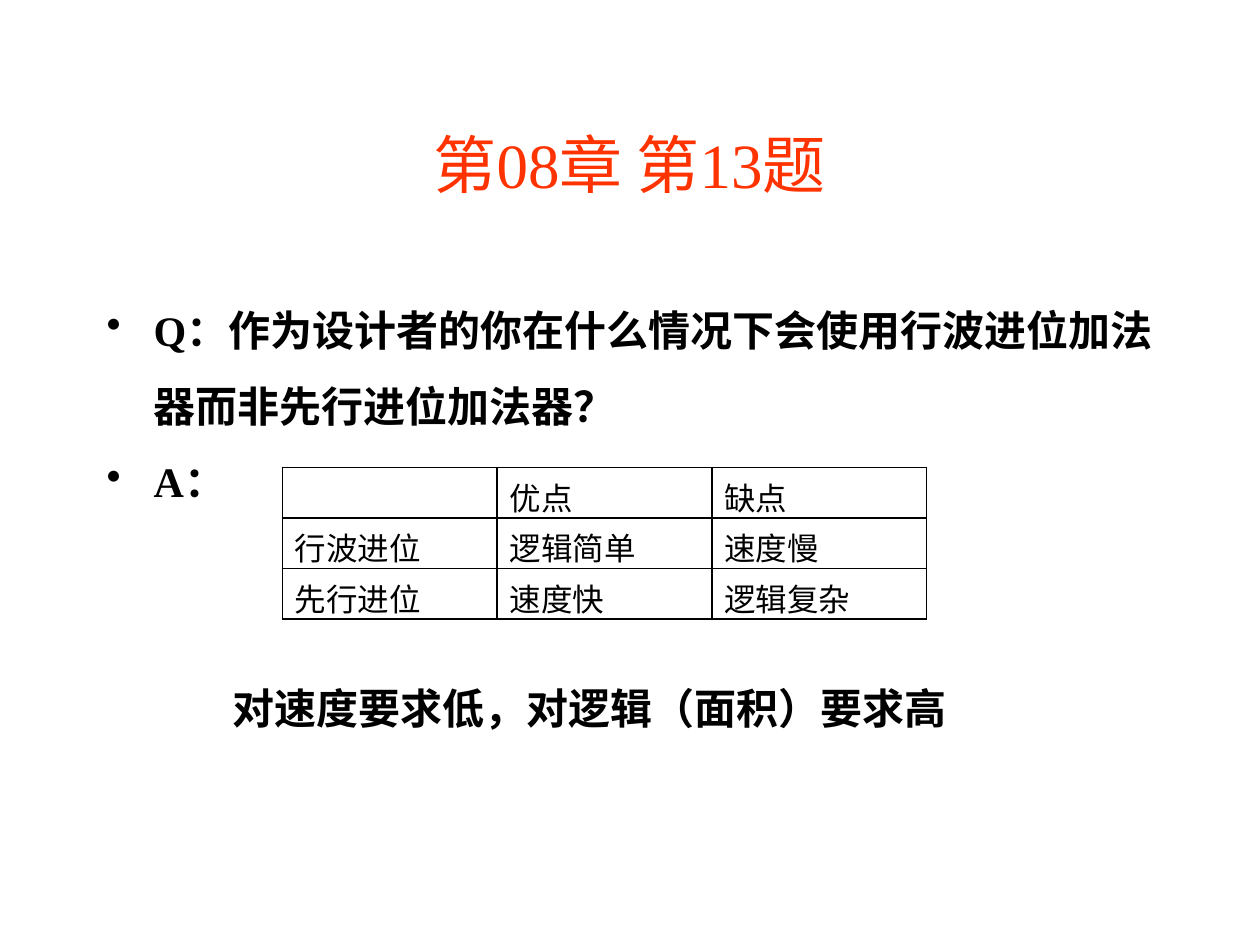
from pptx import Presentation
from pptx.dml.color import RGBColor
from pptx.enum.text import MSO_ANCHOR as Anchor, PP_ALIGN as Align
from pptx.oxml.ns import qn
from pptx.util import Cm, Pt
from lxml.etree import SubElement

# Content
TITLE = "第08章 第13题"
QUESTION = "Q：作为设计者的你在什么情况下会使用行波进位加法器而非先行进位加法器？"
ANSWER = "A："
CONCLUSION = "对速度要求低，对逻辑（面积）要求高"
COMPARISON = [
    ["", "优点", "缺点"],
    ["行波进位", "逻辑简单", "速度慢"],
    ["先行进位", "速度快", "逻辑复杂"],
]

# Format, lengths in cm
FONT = "Times New Roman"
RED, BLACK = "FF3300", "000000"
LEFT, WIDTH = 1.9, 21.59
TABLE_LEFT, TABLE_TOP, COLUMN, ROW = 5.69, 9.42, 4.33, 1.02
BULLET_INDENT, CONCLUSION_INDENT = 0.95, 2.54
TABLE_GAP = 86.5  # points, two body lines left free for the table


def color(value):
    return RGBColor.from_string(value)


def write(paragraph, text, size=24, ink=BLACK, bold=False, align=Align.LEFT,
          spacing=1.0, before=0, indent=0, bullet=False):
    paragraph.alignment = align
    paragraph.line_spacing = spacing
    paragraph.space_before = Pt(before)
    props = paragraph._p.get_or_add_pPr()
    props.set("marL", str(Cm(indent)))
    props.set("indent", str(-Cm(indent) if bullet else 0))
    if bullet:
        SubElement(props, qn("a:buChar"), char="•")
    for font in [paragraph.font] if not text else [paragraph.add_run().font]:
        font.name, font.size, font.bold = FONT, Pt(size), bold
        font.color.rgb = color(ink)
    if text:
        paragraph.runs[0].text = text


def add_frame(top, height, anchor):
    frame = slide.shapes.add_textbox(Cm(LEFT), Cm(top), Cm(WIDTH), Cm(height)).text_frame
    frame.word_wrap = True
    frame.vertical_anchor = anchor
    return frame


def outline(cell):
    props = cell._tc.get_or_add_tcPr()
    for side in ("lnL", "lnR", "lnT", "lnB"):
        line = SubElement(props, qn(f"a:{side}"), w=str(Pt(1)))
        fill = SubElement(line, qn("a:solidFill"))
        SubElement(fill, qn("a:srgbClr"), val=BLACK)
    cell.fill.background()


deck = Presentation()
deck.slide_width, deck.slide_height = Cm(25.4), Cm(19.05)
slide = deck.slides.add_slide(deck.slide_layouts[6])

# Title
heading = add_frame(1.7, 3.18, Anchor.MIDDLE)
write(heading.paragraphs[0], TITLE, size=36, ink=RED, align=Align.CENTER)

# Question, answer and conclusion
body = add_frame(5.51, 11.43, Anchor.TOP)
body_style = dict(bold=True, spacing=1.5)
write(body.paragraphs[0], QUESTION, indent=BULLET_INDENT, bullet=True, **body_style)
write(body.add_paragraph(), ANSWER, indent=BULLET_INDENT, bullet=True, **body_style)
write(body.add_paragraph(), CONCLUSION, indent=CONCLUSION_INDENT, before=TABLE_GAP,
      **body_style)

# Comparison of the two adders
rows, columns = len(COMPARISON), len(COMPARISON[0])
comparison = slide.shapes.add_table(rows, columns, Cm(TABLE_LEFT), Cm(TABLE_TOP),
                                    Cm(COLUMN * columns), Cm(ROW * rows)).table
comparison.first_row = comparison.horz_banding = False
for r, entries in enumerate(COMPARISON):
    for c, entry in enumerate(entries):
        cell = comparison.cell(r, c)
        write(cell.text_frame.paragraphs[0], entry, size=18)
        outline(cell)

deck.save("out.pptx")
